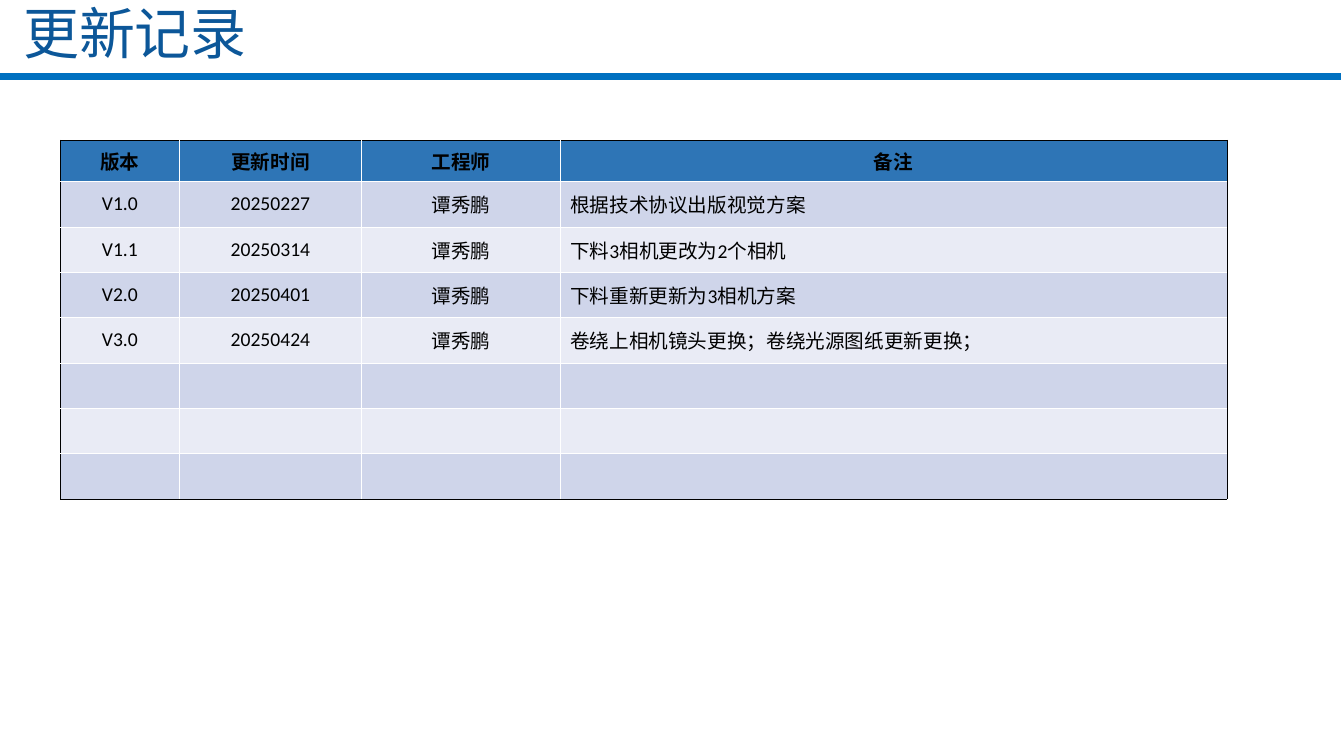
import pptx
import pptx.util
import pptx.dml.color
import pptx.enum.shapes
import pptx.enum.text
import pptx.oxml
import pptx.oxml.ns
import lxml.etree

Color = pptx.dml.color.RGBColor
Pt = pptx.util.Pt
Align = pptx.enum.text.PP_ALIGN
Anchor = pptx.enum.text.MSO_ANCHOR
qn = pptx.oxml.ns.qn

PX = 9144  # 100 px to the inch
NAVY = Color(0x0C, 0x57, 0x99)
BLUE = Color(0x00, 0x70, 0xC0)
HEAD = Color(0x2E, 0x75, 0xB6)
DARK = Color(0xCF, 0xD5, 0xEA)
LIGHT = Color(0xE9, 0xEB, 0xF5)
BLACK = Color(0, 0, 0)
WHITE = Color(255, 255, 255)
LATIN = "Calibri"
HAN = "Noto Sans CJK SC"

COLS = [118, 181, 197, 662]
HEIGHTS = [41] + [45] * 7
ROWS = [
    ["版本", "更新时间", "工程师", "备注"],
    ["V1.0", "20250227", "谭秀鹏", "根据技术协议出版视觉方案"],
    ["V1.1", "20250314", "谭秀鹏", "下料3相机更改为2个相机"],
    ["V2.0", "20250401", "谭秀鹏", "下料重新更新为3相机方案"],
    ["V3.0", "20250424", "谭秀鹏", "卷绕上相机镜头更换；卷绕光源图纸更新更换；"],
]


def px(*nums):
    return [pptx.util.Emu(n * PX) for n in nums]


def style(para, size, color, latin, bold=False):
    for run in para.runs:
        font = run.font
        font.size, font.bold, font.name = Pt(size), bold, latin
        font.color.rgb = color
        east = lxml.etree.SubElement(font._element, qn("a:ea"))
        east.set("typeface", HAN)


def add_title(slide, text):
    title = slide.shapes.title
    title.left, title.top, title.width, title.height = px(13, 13, 975, 47)
    frame = title.text_frame
    frame.text = text
    frame.auto_size = pptx.enum.text.MSO_AUTO_SIZE.NONE
    frame.vertical_anchor = Anchor.MIDDLE
    para = frame.paragraphs[0]
    para.alignment = Align.LEFT
    para.line_spacing = 0.9
    style(para, 40, NAVY, HAN)


def add_rule(slide):
    kind = pptx.enum.shapes.MSO_CONNECTOR.STRAIGHT
    rule = slide.shapes.add_connector(kind, *px(-2, 76, 1331, 76))
    rule.line.color.rgb = BLUE
    rule.line.width = Pt(4.75)
    lxml.etree.SubElement(rule._element.spPr, qn("a:effectLst"))


def add_edge(cell, side, color, width):
    props = cell._tc.get_or_add_tcPr()
    line = lxml.etree.SubElement(props, qn("a:ln" + side), w=str(Pt(width)))
    fill = lxml.etree.SubElement(line, qn("a:solidFill"))
    lxml.etree.SubElement(fill, qn("a:srgbClr"), val=str(color))


def set_cell(cell, row, col, text):
    # Black outside, white inside, a thicker line under the header
    last = len(HEIGHTS) - 1
    outer = {"L": col == 0, "R": col == len(COLS) - 1,
             "T": row == 0, "B": row == last}
    thick = {"B": row == 0, "T": row == 1}
    for side, edge in outer.items():
        width = 1.47 if thick.get(side) else 0.45
        add_edge(cell, side, BLACK if edge else WHITE, width)

    cell.fill.solid()
    cell.fill.fore_color.rgb = HEAD if row == 0 else DARK if row % 2 else LIGHT
    cell.vertical_anchor = Anchor.MIDDLE
    if text:
        cell.text_frame.text = text
        para = cell.text_frame.paragraphs[0]
        note = row > 0 and col == len(COLS) - 1
        para.alignment = Align.LEFT if note else Align.CENTER
        style(para, 14, BLACK, LATIN, row == 0)


def add_log(slide):
    place = px(60, 139, sum(COLS), sum(HEIGHTS))
    table = slide.shapes.add_table(len(HEIGHTS), len(COLS), *place).table
    for col, width in zip(table.columns, px(*COLS)):
        col.width = width
    for row, height in zip(table.rows, px(*HEIGHTS)):
        row.height = height
    for r in range(len(HEIGHTS)):
        for c in range(len(COLS)):
            text = ROWS[r][c] if r < len(ROWS) else ""
            set_cell(table.cell(r, c), r, c, text)


def main():
    deck = pptx.Presentation()
    deck.slide_width, deck.slide_height = px(1334, 750)
    slide = deck.slides.add_slide(deck.slide_layouts[5])
    # Header
    add_rule(slide)
    add_title(slide, "更新记录")
    # Change log
    add_log(slide)
    deck.save("out.pptx")


if __name__ == "__main__":
    main()
